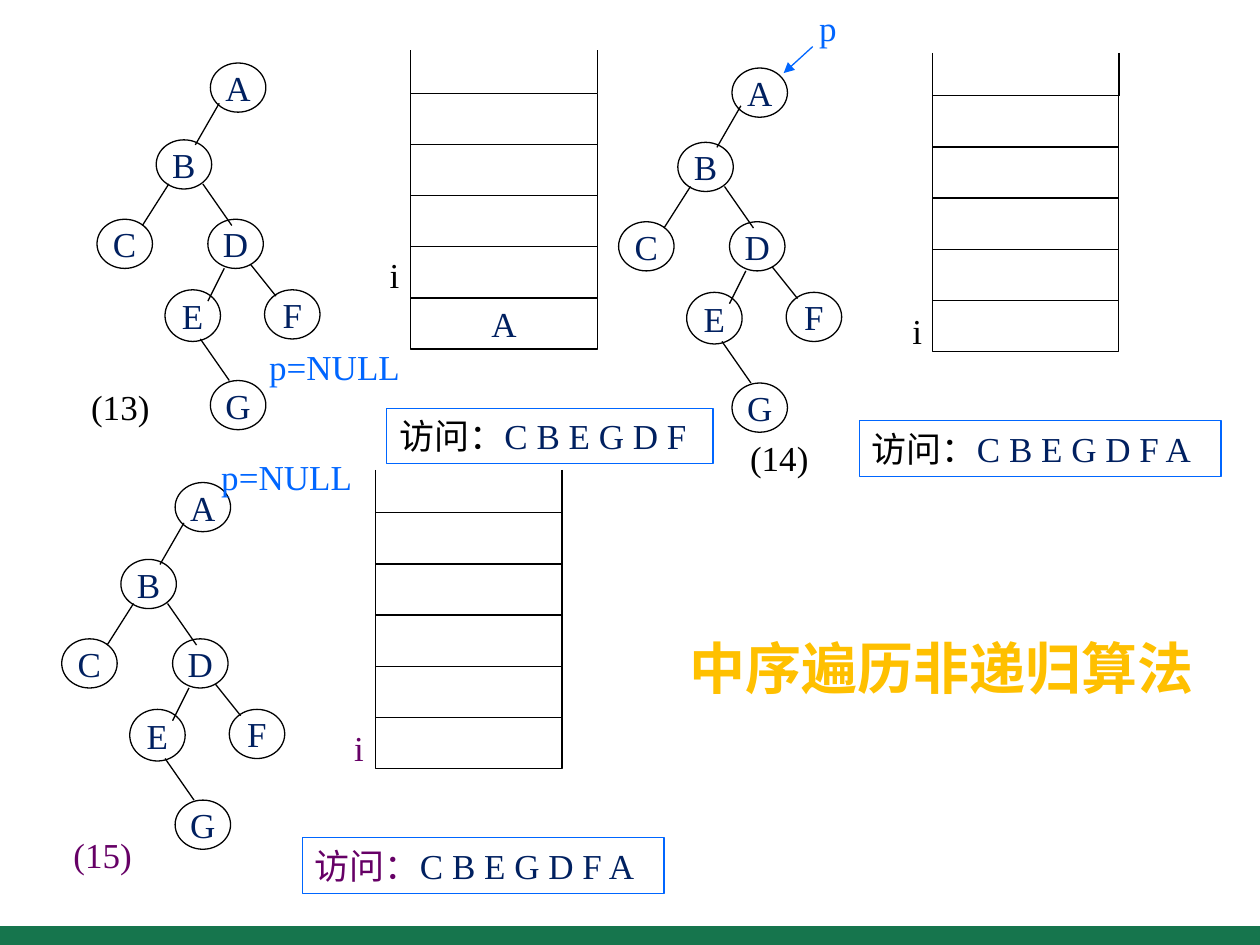
"""Build the slide on the last steps of a non-recursive in-order walk."""
from lxml import etree
from pptx import Presentation
from pptx.dml.color import RGBColor
from pptx.enum.shapes import MSO_CONNECTOR, MSO_SHAPE
from pptx.enum.text import MSO_ANCHOR, MSO_AUTO_SIZE, PP_ALIGN
from pptx.oxml.ns import qn
from pptx.util import Inches, Pt

LINE = MSO_CONNECTOR.STRAIGHT
OVAL, RECT = MSO_SHAPE.OVAL, MSO_SHAPE.RECTANGLE
TOP, MIDDLE = MSO_ANCHOR.TOP, MSO_ANCHOR.MIDDLE
LEFT, CENTER = PP_ALIGN.LEFT, PP_ALIGN.CENTER
FIT, FIXED = MSO_AUTO_SIZE.SHAPE_TO_FIT_TEXT, MSO_AUTO_SIZE.NONE

FONT = "Times New Roman"
BLACK, NAVY, BLUE, PLUM = "000000", "002060", "0066FF", "660066"
GOLD, GREEN = "FFC000", "16754D"
COLS, ROWS = 1000, 750

TITLE = ("中序遍历非递归算法", (537, 498, 426, 64))
NODES = {
    "A": (167, 50, 44, 39), "B": (124, 111, 44, 39), "C": (77, 174, 44, 39),
    "D": (165, 174, 44, 39), "E": (131, 230, 44, 41), "F": (210, 230, 44, 39),
    "G": (167, 302, 44, 39),
}
EDGES = [
    (174, 82, 155, 115), (134, 146, 113, 179), (161, 146, 184, 179),
    (178, 213, 165, 239), (199, 210, 219, 235), (159, 269, 182, 302),
]
STACK = {"left": 326, "top": 74, "width": 148, "height": 203, "rim": 34}
CELLS = 5
CASES = [
    {"shift": (0, 0), "drop": 0, "stack": ["A"], "ink": BLACK,
     "seen": ("C B E G D F", (307, 324, 259, 44)),
     "index": (299, 196, 28, 44),
     "state": ("p=NULL", (203, 269, 125, 44)),
     "step": ("(13)", (62, 301, 67, 44)), "arrow": None},
    {"shift": (414, 2), "drop": 2, "stack": [], "ink": BLACK,
     "seen": ("C B E G D F A", (682, 334, 287, 44)),
     "index": (714, 240, 28, 44),
     "state": ("p", (640, 0, 34, 43)),
     "step": ("(14)", (585, 341, 67, 44)), "arrow": (645, 37, 622, 58)},
    {"shift": (-28, 333), "drop": 0, "stack": [], "ink": PLUM,
     "seen": ("C B E G D F A", (240, 665, 287, 44)),
     "index": (271, 571, 28, 44),
     "state": ("p=NULL", (165, 356, 125, 44)),
     "step": ("(15)", (48, 656, 67, 44)), "arrow": None},
]

deck = Presentation()
deck.slide_width, deck.slide_height = Inches(10), Inches(7.5)


def rgb(code):
    """Turn a hex string into a colour."""
    return RGBColor.from_string(code)


def grid(spot):
    """Turn columns and rows into slide lengths."""
    units = deck.slide_width / COLS, deck.slide_height / ROWS
    return [round(n * units[k % 2]) for k, n in enumerate(spot)]


def write(shape, runs, align=CENTER, anchor=MIDDLE, size=20, bold=False, fit=FIXED):
    """Put coloured runs into a shape."""
    frame = shape.text_frame
    frame.word_wrap, frame.auto_size = False, fit
    frame.vertical_anchor = anchor
    line = frame.paragraphs[0]
    line.alignment = align
    for text, ink in runs:
        run = line.add_run()
        run.text = text
        run.font.name, run.font.size = FONT, Pt(size)
        run.font.bold = bold
        run.font.color.rgb = rgb(ink)


def shape(home, kind, spot, ink=BLACK):
    """Add an outlined shape with no fill."""
    item = home.add_shape(kind, *grid(spot))
    item.shadow.inherit = False
    item.fill.background()
    item.line.color.rgb, item.line.width = rgb(ink), Pt(0.75)
    return item


def link(home, ends, ink=BLACK, head=False):
    """Add a straight line, with an arrowhead if asked."""
    item = home.add_connector(LINE, *grid(ends))
    item.line.color.rgb, item.line.width = rgb(ink), Pt(0.75)
    if head:
        etree.SubElement(item.line._get_or_add_ln(), qn("a:tailEnd"), type="triangle")
    etree.SubElement(item._element.spPr, qn("a:effectLst"))


def label(home, text, spot, ink):
    """Add a centred text box."""
    write(home.add_textbox(*grid(spot)), [(text, ink)], fit=FIT)


def tree(home, case):
    """Draw the nodes and edges of one tree."""
    dx, dy = case["shift"]
    for name, (x, y, w, h) in NODES.items():
        drop = case["drop"] if name == "A" else 0
        node = shape(home, OVAL, (x + dx, y + dy + drop, w, h))
        write(node, [(name, NAVY)])
    for x, y, u, v in EDGES:
        link(home, (x + dx, y + dy, u + dx, v + dy))


def stack(home, case):
    """Draw one open stack, filled from the bottom."""
    dx, dy = case["shift"]
    x, y = STACK["left"] + dx, STACK["top"] + dy
    w, h = STACK["width"], STACK["height"] / CELLS
    for k in range(CELLS):
        cell = shape(home, RECT, (x, y + (CELLS - 1 - k) * h, w, h))
        if k < len(case["stack"]):
            write(cell, [(case["stack"][k], NAVY)])
    for side in (x, x + w):
        link(home, (side, y - STACK["rim"], side, y))


def build():
    """Lay out the slide and save it."""
    slide = deck.slides.add_slide(deck.slide_layouts[5])
    text, spot = TITLE
    title = slide.shapes.title
    title.left, title.top, title.width, title.height = grid(spot)
    write(title, [(text, GOLD)], LEFT, TOP, 32, True)

    bar = shape(slide.shapes, RECT, (0, 735, COLS, 15))
    bar.fill.solid()
    bar.fill.fore_color.rgb = rgb(GREEN)
    bar.line.fill.background()

    for case in CASES:
        home = slide.shapes.add_group_shape().shapes
        ink = case["ink"]
        tree(home, case)
        stack(home, case)
        seen, spot = case["seen"]
        box = shape(home, RECT, spot, BLUE)
        write(box, [("访问：", ink), (seen, NAVY)], LEFT, fit=FIT)
        label(home, "i", case["index"], ink)
        label(home, *case["state"], BLUE)
        label(home, *case["step"], ink)
        if case["arrow"]:
            link(home, case["arrow"], BLUE, True)

    deck.save("out.pptx")


if __name__ == "__main__":
    build()
